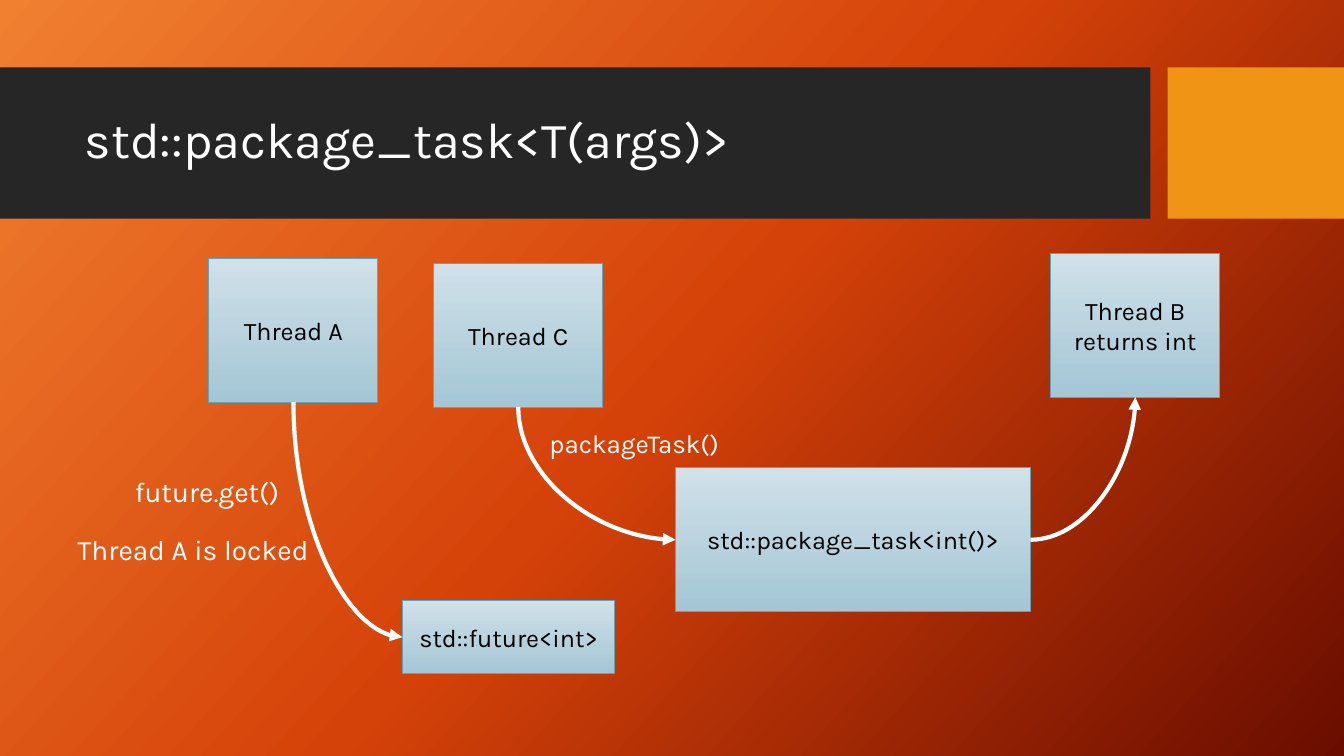
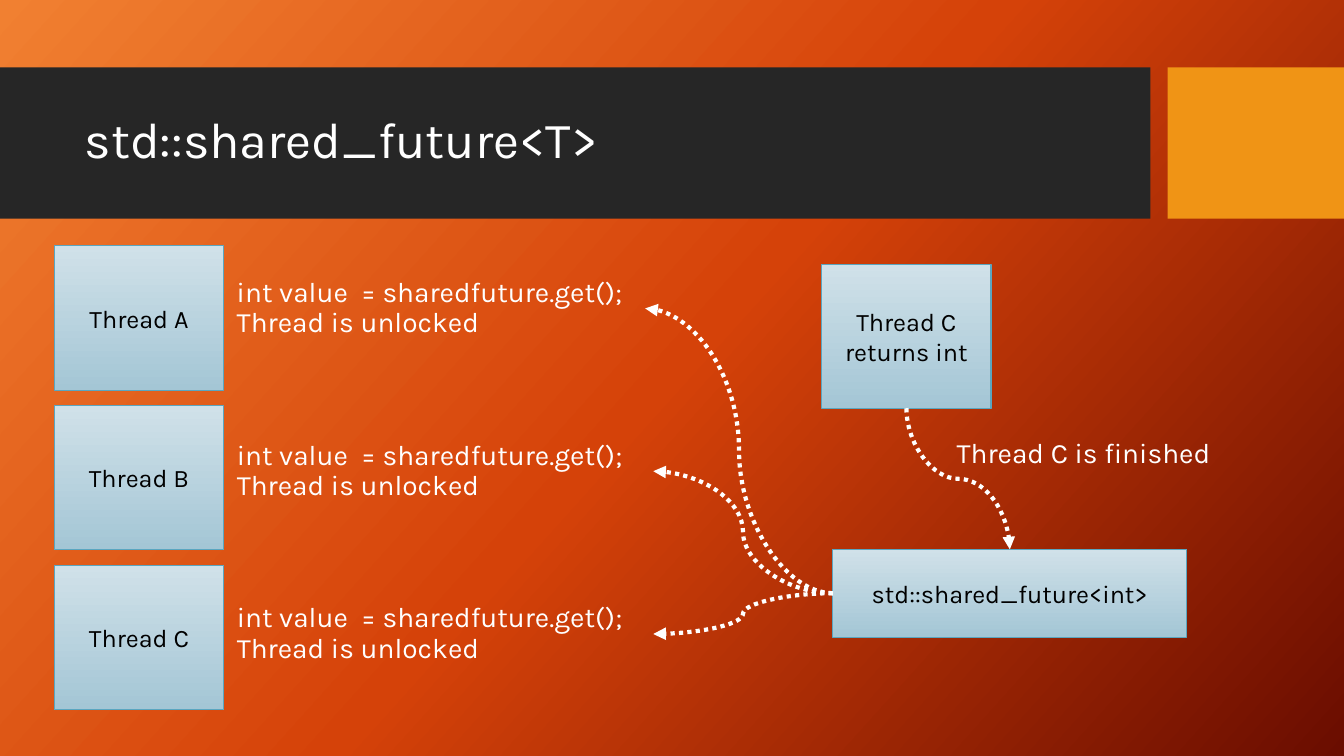
import copy
import pptx
import pptx.util
import pptx.dml.color
import pptx.enum.dml
import pptx.enum.shapes
import pptx.enum.text
import pptx.oxml
import pptx.oxml.ns

RGB = pptx.dml.color.RGBColor
WHITE = RGB(0xFF, 0xFF, 0xFF)
BLACK = RGB(0x00, 0x00, 0x00)
CHARCOAL = RGB(0x26, 0x26, 0x26)
AMBER = RGB(0xF0, 0x94, 0x15)
ORANGE = RGB(0xF1, 0x80, 0x31)
RUST = RGB(0xD5, 0x42, 0x09)
MAROON = RGB(0x6A, 0x0D, 0x00)
ICE = RGB(0xD0, 0xE1, 0xE9)
STEEL = RGB(0xA4, 0xC6, 0xD5)
TEAL = RGB(0x5A, 0xA6, 0xC0)
FONT = "Karla"
RECT = pptx.enum.shapes.MSO_SHAPE.RECTANGLE
ALIGN = pptx.enum.text.PP_ALIGN
MIDDLE = pptx.enum.text.MSO_ANCHOR.MIDDLE
TOP, LEFT, BOTTOM, RIGHT = range(4)
THREAD_W, THREAD_H = 12.6, 19.07

prs = pptx.Presentation()
prs.slide_width = pptx.util.Inches(13.33)
prs.slide_height = pptx.util.Inches(7.5)
COL, ROW = prs.slide_width / 100, prs.slide_height / 100


def add_block(s, text, x, y, w=THREAD_W, h=THREAD_H, label_size=None):
    area = [int(v) for v in (x * COL, y * ROW, w * COL, h * ROW)]
    if label_size:
        sp = s.shapes.add_textbox(*area)
    else:
        sp = s.shapes.add_shape(RECT, *area)
        sp.shadow.inherit = False
        sp.fill.gradient()
        sp.fill.gradient_angle = 270
        for stop, color, position in zip(sp.fill.gradient_stops, (ICE, STEEL), (0, 1)):
            stop.color.rgb = color
            stop.position = position
        sp.line.color.rgb = TEAL
        sp.line.width = pptx.util.Pt(0.75)
    tf = sp.text_frame
    tf.word_wrap = True
    tf.vertical_anchor = MIDDLE
    tf.text = text
    for p in tf.paragraphs:
        p.alignment = ALIGN.LEFT if label_size else ALIGN.CENTER
        if label_size:
            p.line_spacing = 0.9
        p.font.name = FONT
        for r in p.runs:
            r.font.name = FONT
            r.font.size = pptx.util.Pt(label_size or 18)
            r.font.color.rgb = WHITE if label_size else BLACK
    return sp


def add_arrow(s, start, start_site, end, end_site, bends=3, dotted=False):
    arrow = s.shapes.add_connector(pptx.enum.shapes.MSO_CONNECTOR.CURVE, 0, 0, 0, 0)
    arrow.begin_connect(start, start_site)
    arrow.end_connect(end, end_site)
    arrow.line.color.rgb = WHITE
    arrow.line.width = pptx.util.Pt(3)
    if dotted:
        arrow.line.dash_style = pptx.enum.dml.MSO_LINE.ROUND_DOT
    spPr = arrow.element.spPr
    spPr.find(pptx.oxml.ns.qn("a:prstGeom")).set("prst", f"curvedConnector{bends}")
    if start_site == BOTTOM:
        w, h = arrow.width, arrow.height
        arrow.left += (w - h) // 2
        arrow.top += (h - w) // 2
        arrow.width, arrow.height = h, w
        xfrm = spPr.find(pptx.oxml.ns.qn("a:xfrm"))
        xfrm.set("rot", "16200000")
        xfrm.set("flipH", "1")
    ns = pptx.oxml.ns.nsdecls("a")
    ln = spPr.find(pptx.oxml.ns.qn("a:ln"))
    ln.append(pptx.oxml.parse_xml(f'<a:tailEnd {ns} type="triangle"/>'))
    spPr.append(pptx.oxml.parse_xml(f"<a:effectLst {ns}/>"))


master = prs.slide_master
fill = master.background.fill
fill.gradient()
fill.gradient_angle = 318
first = fill.gradient_stops[0]
gsLst = master.element.find(".//" + pptx.oxml.ns.qn("a:gsLst"))
gsLst.insert(1, copy.deepcopy(gsLst[0]))
for stop, color, position in zip(fill.gradient_stops, (ORANGE, RUST, MAROON), (0, 0.5, 1)):
    stop.color.rgb = color
    stop.position = position

layout = prs.slide_layouts[5]
title = layout.placeholders[0]
title.left, title.top = int(5.55 * COL), int(10.93 * ROW)
title.width, title.height = int(78.84 * COL), int(15.73 * ROW)

slides = []
for heading in ("std::package_task<T(args)>", "std::shared_future<T>"):
    s = prs.slides.add_slide(layout)
    tf = s.shapes.title.text_frame
    tf.text = heading
    tf.word_wrap = True
    tf.auto_size = pptx.enum.text.MSO_AUTO_SIZE.NONE
    tf.vertical_anchor = MIDDLE
    p = tf.paragraphs[0]
    p.alignment = ALIGN.LEFT
    p.line_spacing = 0.9
    r = p.runs[0]
    r.font.name = FONT
    r.font.size = pptx.util.Pt(36)
    r.font.color.rgb = WHITE
    slides.append(s)

package_slide, shared_slide = slides
tree = master.shapes.element if hasattr(master.shapes, "element") else master.element.cSld.spTree
for i, (x, w, color) in enumerate(((0, 85.6, CHARCOAL), (86.87, 13.13, AMBER))):
    band = package_slide.shapes.add_shape(
        RECT, int(x * COL), int(8.93 * ROW), int(w * COL), int(20 * ROW))
    band.shadow.inherit = False
    band.fill.solid()
    band.fill.fore_color.rgb = color
    band.line.fill.background()
    tree.insert(2 + i, band.element)

s = package_slide
thread_a = add_block(s, "Thread A", 15.53, 34.13)
thread_b = add_block(s, "Thread B\nreturns int", 78.17, 33.47)
thread_c = add_block(s, "Thread C", 32.26, 34.8)
task = add_block(s, "std::package_task<int()>", 50.26, 61.87, 26.41)
future = add_block(s, "std::future<int>", 29.93, 79.47, 15.83, 9.6)
add_block(s, "future.get()", 9.3, 61.87, 14.25, 6.93, 20)
add_block(s, "Thread A is locked", 5.03, 66.93, 25.21, 12.13, 20)
add_block(s, "packageTask()", 40.14, 55.47, 14.25, 6.93, 18.5)
add_arrow(s, thread_a, BOTTOM, future, LEFT, bends=2)
add_arrow(s, thread_c, BOTTOM, task, LEFT, bends=2)
add_arrow(s, task, RIGHT, thread_b, BOTTOM, bends=2)

s = shared_slide
producer = add_block(s, "Thread C\nreturns int", 61.14, 34.93)
shared = add_block(s, "std::shared_future<int>", 61.97, 72.67, 26.33, 11.6)
add_block(s, "Thread C is finished", 70.44, 54, 25.21, 12.13, 20)
add_arrow(s, producer, BOTTOM, shared, TOP, dotted=True)
for i, (name, label_w) in enumerate((("A", 31.13), ("B", 31.73), ("C", 31.73))):
    add_block(s, f"Thread {name}", 4.05, 32.53 + 21.13 * i)
    label = add_block(s, "int value  = sharedfuture.get();\nThread is unlocked",
                      16.88, 33.87 + 21.53 * i, label_w, 13.87, 20)
    add_arrow(s, shared, LEFT, label, RIGHT, dotted=True)

prs.save("out.pptx")
